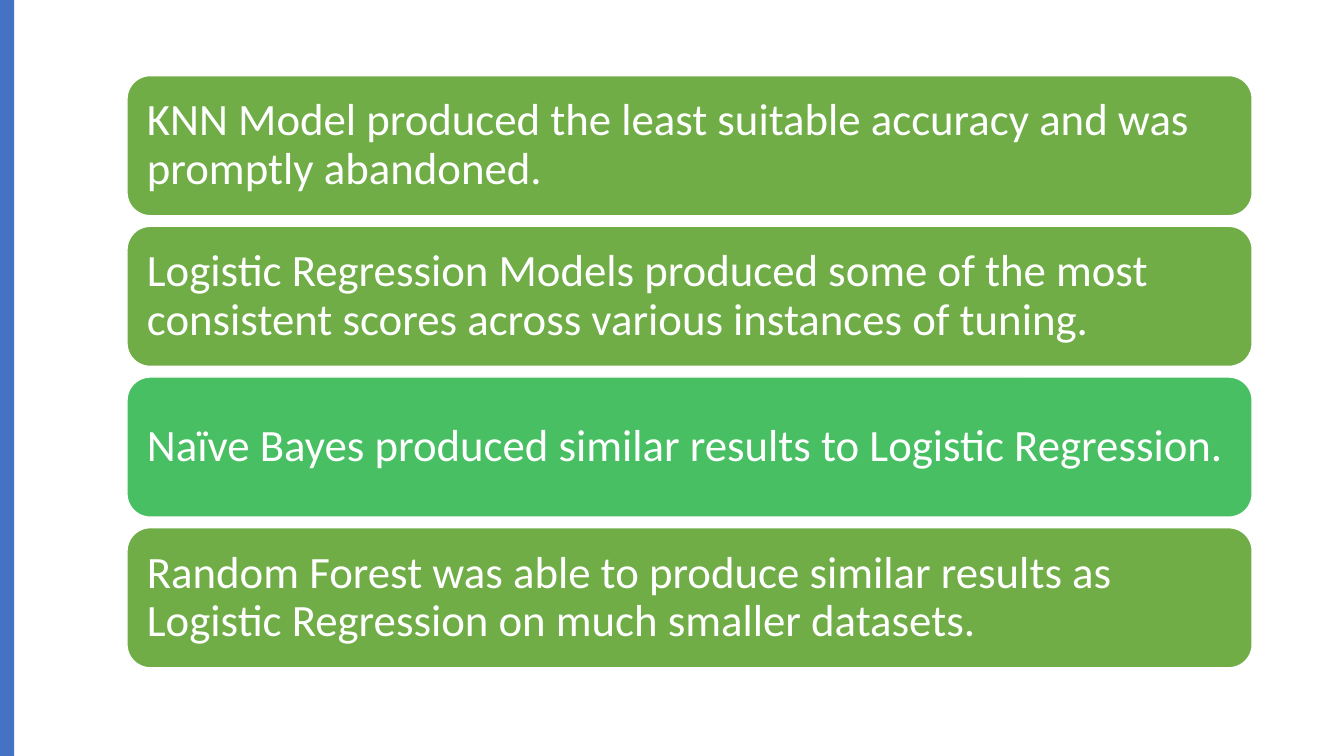
"""Build a slide of four stacked cards that sum up model findings."""
from pptx import Presentation
from pptx.dml.color import RGBColor
from pptx.enum.shapes import MSO_SHAPE
from pptx.enum.text import MSO_ANCHOR, PP_ALIGN
from pptx.util import Inches, Pt

RECT = MSO_SHAPE.RECTANGLE
ROUNDED = MSO_SHAPE.ROUNDED_RECTANGLE
MIDDLE = MSO_ANCHOR.MIDDLE
LEFT = PP_ALIGN.LEFT

COLORS = {"bar": "4472C4", "card": "70AD47", "accent": "49BF64", "white": "FFFFFF"}
FONT = "Calibri"
CARD_LEFT, CARD_TOP, CARD_WIDTH, CARD_HEIGHT = 1.26, 0.75, 11.16, 1.39
CARD_PITCH = 1.495
CARD_INSET = 0.13

FINDINGS = [
    ("KNN Model produced the least suitable accuracy and was promptly abandoned.", "card"),
    ("Logistic Regression Models produced some of the most consistent scores "
     "across various instances of tuning.", "card"),
    ("Naïve Bayes produced similar results to Logistic Regression.", "accent"),
    ("Random Forest was able to produce similar results as Logistic Regression "
     "on much smaller datasets.", "card"),
]


def rgb(name):
    """Return the named colour."""
    return RGBColor.from_string(COLORS[name])


def add_block(slide, kind, left, top, width, height, color):
    """Add a filled shape with no shadow or outline."""
    sp = slide.shapes.add_shape(
        kind, Inches(left), Inches(top), Inches(width), Inches(height))
    sp.shadow.inherit = False
    sp.fill.solid()
    sp.fill.fore_color.rgb = rgb(color)
    sp.line.fill.background()
    return sp


def add_card(slide, top, text, color):
    """Add a rounded card holding one finding."""
    sp = add_block(slide, ROUNDED, CARD_LEFT, top, CARD_WIDTH, CARD_HEIGHT, color)
    sp.line.color.rgb = rgb("white")
    sp.line.width = Pt(1)
    tf = sp.text_frame
    tf.word_wrap = True
    tf.vertical_anchor = MIDDLE
    tf.margin_left = tf.margin_right = Inches(CARD_INSET)
    tf.margin_top = tf.margin_bottom = Inches(CARD_INSET)
    tf.text = text
    p = tf.paragraphs[0]
    p.alignment = LEFT
    p.line_spacing = 0.9
    font = p.runs[0].font
    font.name = FONT
    font.size = Pt(32)
    font.color.rgb = rgb("white")


def main():
    """Create the slide and save it."""
    prs = Presentation()
    prs.slide_width, prs.slide_height = Inches(13.33), Inches(7.5)
    s = prs.slides.add_slide(prs.slide_layouts[6])
    add_block(s, RECT, 0, 0, 0.14, 7.5, "bar")
    for i, (text, color) in enumerate(FINDINGS):
        add_card(s, CARD_TOP + i * CARD_PITCH, text, color)
    prs.save("out.pptx")


if __name__ == "__main__":
    main()
